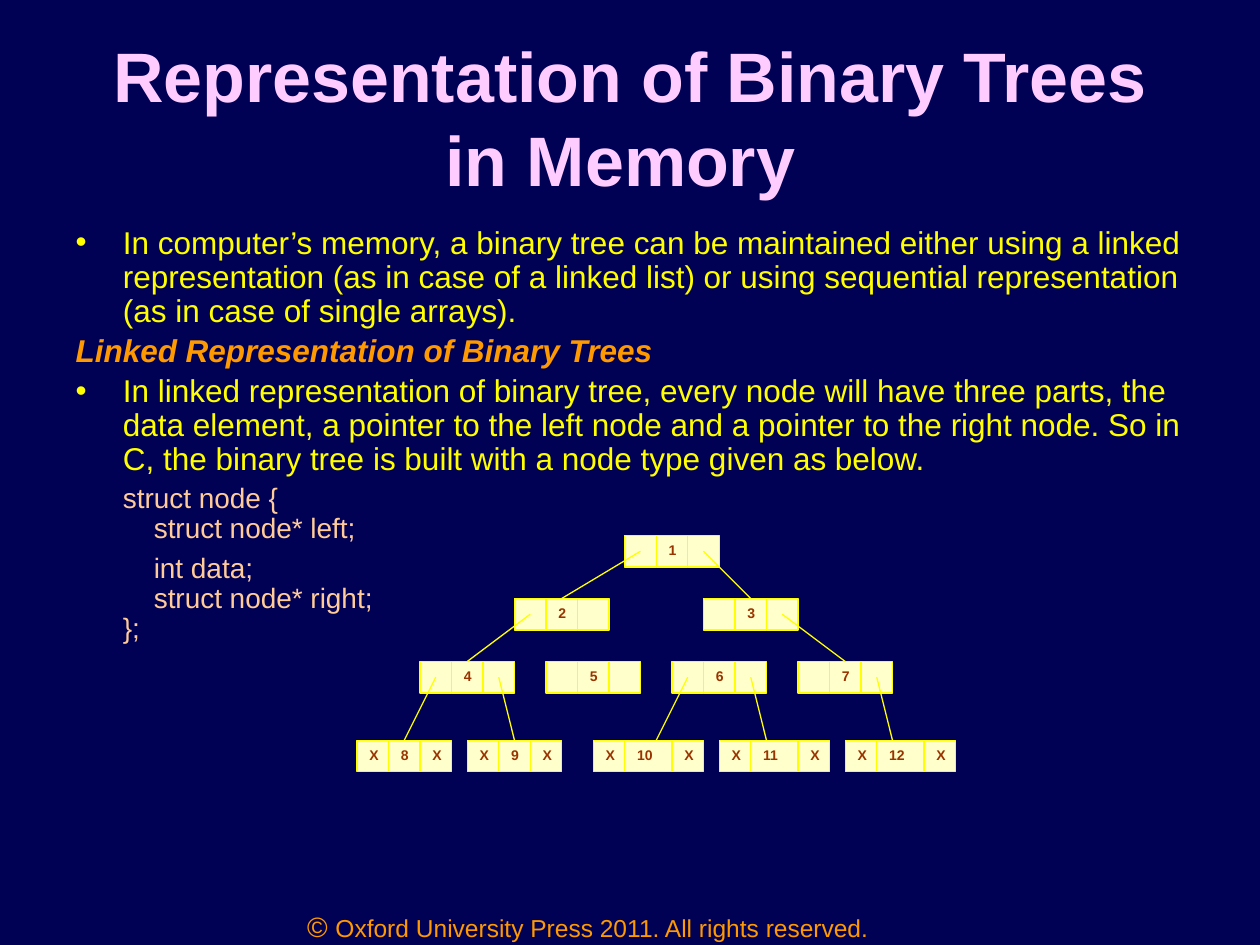
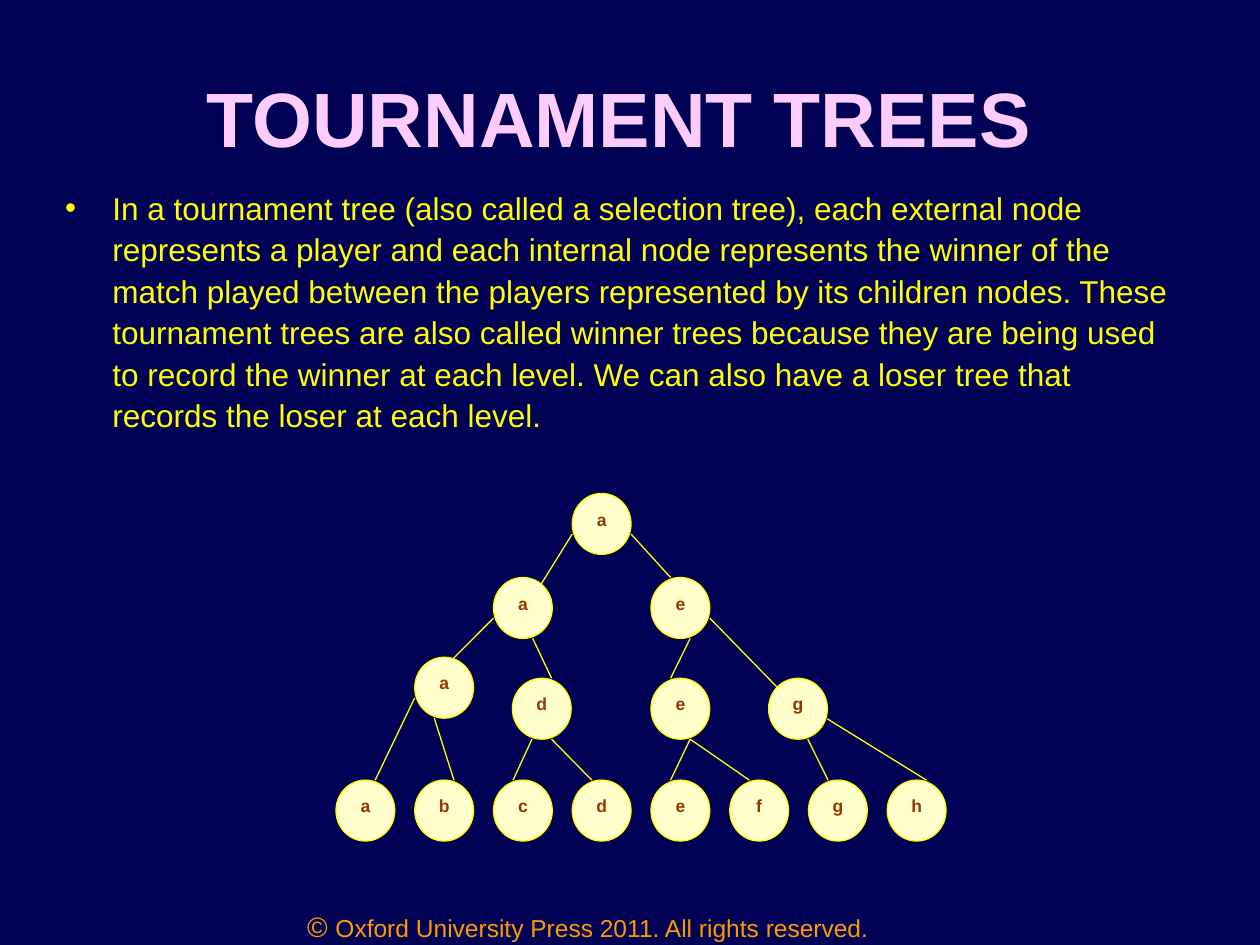
from copy import deepcopy

from lxml import etree
from pptx import Presentation, util as u
from pptx.dml.color import RGBColor
from pptx.enum import shapes, text
from pptx.oxml import ns

PX = 7620  # EMU per px, 120 px to the inch
HUES = dict(back="000055", title="FFCCFF", body="FFFF00", accent="FF9900",
            code="FFCC99", fill="FFFFCC", edge="FFFF00", label="993300")
BODY = dict(size=18, hue="body", bold=False)
HEAD = dict(size=18, hue="accent", bold=True, italic=True)
CODE = dict(size=16, hue="code", bold=False)

CELL = 30   # side of a pointer cell
WIDE = 45   # data cell of a two-digit node
DISC = (56, 58)
STEP = 75   # distance between neighbouring leaves


def rgb(name):
    return RGBColor.from_string(HUES[name])


def px(*vals):
    return [u.Emu(round(v * PX)) for v in vals]


def style(font, size, hue, **more):
    font.color.rgb = rgb(hue)
    for key, val in dict(name="Arial", size=u.Pt(size), **more).items():
        setattr(font, key, val)


def place(shape, box):
    for key, val in zip(("left", "top", "width", "height"), px(*box)):
        setattr(shape, key, val)


def put_title(slide, words, size):
    title = slide.shapes.title
    place(title, (60, 36, 1080, 150))
    frame = title.text_frame
    frame.text = words
    frame.auto_size = text.MSO_AUTO_SIZE.NONE
    frame.vertical_anchor = text.MSO_ANCHOR.MIDDLE
    para = frame.paragraphs[0]
    para.alignment = text.PP_ALIGN.CENTER
    style(para.runs[0].font, size, "title", bold=True)


def put_body(slide, box, items, spacing):
    """Fill the body with (text, format, left margin or None for a bullet, space before)."""
    body = slide.placeholders[1]
    place(body, box)
    frame = body.text_frame
    frame.auto_size = text.MSO_AUTO_SIZE.NONE
    for i, (words, form, margin, gap) in enumerate(items):
        para = frame.add_paragraph() if i else frame.paragraphs[0]
        para.text = words
        if margin is not None:
            props = para._p.get_or_add_pPr()
            props.set("marL", str(margin * PX))
            props.set("indent", "0")
            etree.SubElement(props, ns.qn("a:buNone"))
        para.line_spacing = spacing
        para.space_before = u.Pt(gap)
        for run in para.runs:
            style(run.font, **form)
        for brk in para._p.findall(ns.qn("a:br")):
            brk.append(deepcopy(para.runs[0]._r.rPr))


def put_footer(slide):
    box = slide.shapes.add_textbox(*px(240, 860, 640, 40))
    box.text_frame.word_wrap = True
    para = box.text_frame.paragraphs[0]
    para.alignment = text.PP_ALIGN.CENTER
    for words, size in (("© ", 16),
                        ("Oxford University Press 2011. All rights reserved.", 14)):
        run = para.add_run()
        run.text = words
        style(run.font, size, "accent")


def add_node(group, kind, box, label, size, align):
    node = group.shapes.add_shape(kind, *px(*box))
    node.shadow.inherit = False
    node.fill.solid()
    node.fill.fore_color.rgb = rgb("fill")
    node.line.color.rgb = rgb("edge")
    node.line.width = u.Pt(0.75)
    if label:
        frame = node.text_frame
        frame.word_wrap = True
        frame.vertical_anchor = text.MSO_ANCHOR.TOP
        para = frame.paragraphs[0]
        para.alignment = align
        run = para.add_run()
        run.text = label
        style(run.font, size, "label", bold=True)
    return node


def add_edge(group, start, end):
    line = group.shapes.add_connector(shapes.MSO_CONNECTOR.STRAIGHT, *px(*start, *end))
    line.line.color.rgb = rgb("edge")
    line.line.width = u.Pt(0.75)
    etree.SubElement(line._element.spPr, ns.qn("a:effectLst"))
    return line


def draw_linked(slide, left, top):
    """Tree of three-cell nodes: left pointer, data, right pointer."""
    group = slide.shapes.add_group_shape()
    levels = ((0, (255,)), (60, (150, 330)), (120, (60, 180, 300, 420)),
              (195, (0, 105, 225, 345, 465)))
    spots, data, key = {}, {}, 0
    for y, row in levels:
        for x in row:
            key += 1
            spots[key] = (left + x, top + y)
            mid = WIDE if key > 9 else CELL
            mark = "X" if key > 7 else ""
            at = left + x
            cells = []
            for label, width in ((mark, CELL), (str(key), mid), (mark, CELL)):
                cells.append(add_node(group, shapes.MSO_SHAPE.RECTANGLE,
                                      (at, top + y, width, CELL),
                                      label, 8, text.PP_ALIGN.LEFT))
                at += width
            data[key] = cells[1]

    # parent, pointer cell (0 left, 2 right), child
    for parent, slot, child in ((1, 0, 2), (1, 2, 3), (2, 0, 4), (3, 2, 7), (4, 0, 8),
                                (4, 2, 9), (6, 0, 10), (6, 2, 11), (7, 2, 12)):
        x, y = spots[parent]
        cx, cy = spots[child]
        reach = 60 if child == 10 else 45
        line = add_edge(group, (x + (slot + 0.5) * CELL, y + CELL / 2), (cx + reach, cy))
        if child < 10:
            line.end_connect(data[child], 0)


def draw_winners(slide, left, top):
    """Tree of discs; each edge end is a point (column, row) on a disc's grid of thirds."""
    group = slide.shapes.add_group_shape()
    wide, high = DISC
    spots = {"root": ("a", 225, 0), "west": ("a", 150, 80), "east": ("e", 300, 80),
             "ab": ("a", 75, 156), "cd": ("d", 168, 176),
             "ef": ("e", 300, 176), "gh": ("g", 412, 176)}
    spots.update({f"leaf {c}": (c, i * STEP, 273) for i, c in enumerate("abcdefgh")})

    def point(name, col, row):
        _, x, y = spots[name]
        return left + x + col * wide / 3, top + y + row * high / 3

    edges = (("root", 0, 2, "west", 2, 1), ("root", 3, 2, "east", 1, 0),
             ("west", 0, 2, "ab", 1, 1), ("west", 2, 3, "cd", 2, 0),
             ("east", 2, 3, "ef", 1, 0), ("east", 3, 2, "gh", 1, 1),
             ("ab", 0, 2, "leaf a", 2, 0), ("ab", 1, 3, "leaf b", 2, 0),
             ("cd", 1, 3, "leaf c", 1, 0), ("cd", 2, 3, "leaf d", 1, 0),
             ("ef", 2, 3, "leaf e", 1, 0), ("ef", 2, 3, "leaf f", 1, 0),
             ("gh", 2, 3, "leaf g", 1, 0), ("gh", 3, 2, "leaf h", 2, 0))
    for edge in edges:
        add_edge(group, point(*edge[:3]), point(*edge[3:]))
    for label, x, y in spots.values():
        add_node(group, shapes.MSO_SHAPE.OVAL, (left + x, top + y, wide, high),
                 label, 10, text.PP_ALIGN.CENTER)


def new_slide(deck, title, size):
    slide = deck.slides.add_slide(deck.slide_layouts[1])
    put_footer(slide)
    put_title(slide, title, size)
    return slide


def memory_slide(deck):
    slide = new_slide(deck, "Representation of Binary Trees in Memory ", 40)
    put_body(slide, (60, 210, 1080, 594), (
        ("In computer’s memory, a binary tree can be maintained either using a linked "
         "representation (as in case of a linked list) or using sequential "
         "representation (as in case of single arrays).", BODY, None, 0),
        ("Linked Representation of Binary Trees", HEAD, 0, 3.6),
        ("In linked representation of binary tree, every node will have three parts, "
         "the data element, a pointer to the left node and a pointer to the right node. "
         "So in C, the binary tree is built with a node type given as below.",
         BODY, None, 3.6),
        ("struct node {\v    struct node* left;", CODE, 45, 3.6),
        ("    int data;\v    struct node* right;\v};", CODE, 45, 5.5),
    ), 0.9)
    draw_linked(slide, 340, 510)


def tournament_slide(deck):
    slide = new_slide(deck, "TOURNAMENT TREES ", 44)
    put_body(slide, (50, 170, 1080, 594), (
        ("In a tournament tree (also called a selection tree), each external node "
         "represents a player and each internal node represents the winner of the match "
         "played between the players represented by its children nodes. These tournament "
         "trees are also called winner trees because they are being used to record the "
         "winner at each level. We can also have a loser tree that records the loser at "
         "each level.", BODY, None, 0),
    ), 1.1)
    draw_winners(slide, 320, 470)


def main():
    deck = Presentation()
    deck.slide_width, deck.slide_height = px(1200, 900)
    back = deck.slide_master.background.fill
    back.solid()
    back.fore_color.rgb = rgb("back")
    memory_slide(deck)
    tournament_slide(deck)
    deck.save("out.pptx")


if __name__ == "__main__":
    main()
